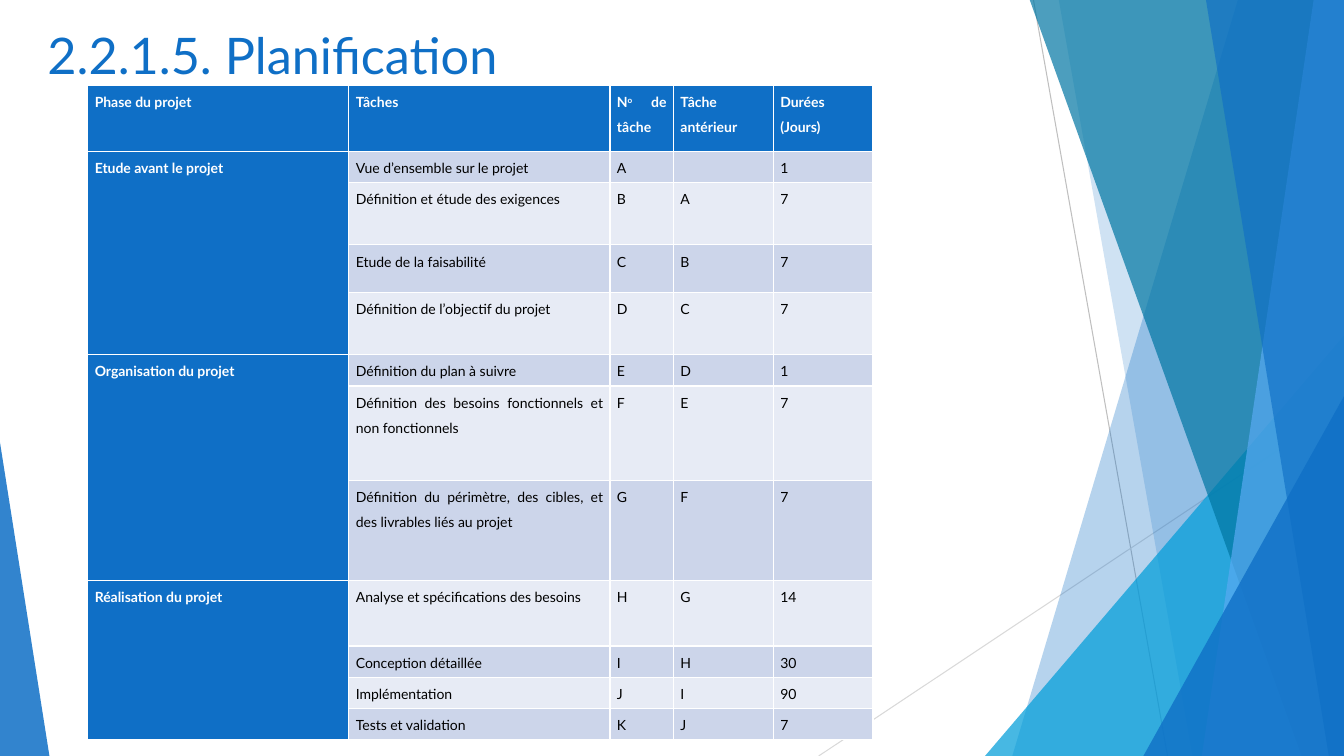
import dataclasses
import typing

import pptx
import pptx.dml.color
import pptx.enum.shapes
import pptx.enum.text
import pptx.oxml.ns
import pptx.oxml.xmlchemy
import pptx.util
from lxml import etree

RGB = pptx.dml.color.RGBColor
ALIGN = pptx.enum.text.PP_ALIGN
qn = pptx.oxml.ns.qn

PX = 9144  # EMU per px, 100 px to the inch
W, H = 1333, 750
FONT = "Lato"

BLUE = RGB(0x0F, 0x6F, 0xC6)
CYAN = RGB(0x00, 0x9D, 0xD9)
TEAL = RGB(0x00, 0x76, 0xA3)
SKY = RGB(0x59, 0xAA, 0xF2)
BAND_DARK = RGB(0xCC, 0xD5, 0xEA)
BAND_LIGHT = RGB(0xE7, 0xEB, 0xF5)
GREY = RGB(0xBF, 0xBF, 0xBF)
LIGHT_GREY = RGB(0xD9, 0xD9, 0xD9)
WHITE = RGB(0xFF, 0xFF, 0xFF)
BLACK = RGB(0x00, 0x00, 0x00)


@dataclasses.dataclass
class Line:
    x1: int
    y1: int
    x2: int
    y2: int
    color: RGB


@dataclasses.dataclass
class Band:
    """Full-height facet from a slanted left edge to the slide's right edge."""
    top_x: int
    bottom_x: int
    color: RGB
    opacity: int


@dataclasses.dataclass
class Triangle:
    """Triangle standing on the bottom edge; apex 0 is left, 1 is right."""
    x: int
    y: int
    w: int
    apex: int
    color: RGB
    opacity: int


class Task(typing.NamedTuple):
    name: str
    code: str
    previous: str
    days: str
    height: int


class Phase(typing.NamedTuple):
    name: str
    tasks: list[Task]


LINES = [Line(1025, 0, 1158, H, GREY), Line(W, 403, 812, H, LIGHT_GREY)]
FACETS = [
    Band(1228, 1004, BLUE, 30),
    Band(1050, 1183, BLUE, 20),
    Triangle(977, 333, 356, 1, CYAN, 72),
    Band(1021, 1291, TEAL, 70),
    Band(1303, 1192, SKY, 70),
    Band(1196, 1318, BLUE, 65),
    Triangle(1134, 393, 199, 1, BLUE, 80),
    Triangle(0, 439, 49, 0, BLUE, 85),
]

COLUMNS = [259, 259, 63, 99, 99]
HEADER_HEIGHT = 65
HEADER = [["Phase du projet"], ["Tâches"], ["N", "o", " de tâche"],
          ["Tâche antérieur"], ["Durées (Jours)"]]
PHASES = [
    Phase("Etude avant le projet", [
        Task("Vue d’ensemble sur le projet", "A", "", "1", 31),
        Task("Définition et étude des exigences", "B", "A", "7", 62),
        Task("Etude de la faisabilité", "C", "B", "7", 47),
        Task("Définition de l’objectif du projet", "D", "C", "7", 62),
    ]),
    Phase("Organisation du projet", [
        Task("Définition du plan à suivre", "E", "D", "1", 31),
        Task("Définition des besoins fonctionnels et non fonctionnels", "F", "E", "7", 94),
        Task("Définition du périmètre, des cibles, et des livrables liés au projet",
             "G", "F", "7", 99),
    ]),
    Phase("Réalisation du projet", [
        Task("Analyse et spécifications des besoins", "H", "G", "14", 65),
        Task("Conception détaillée", "I", "H", "30", 31),
        Task("Implémentation", "J", "I", "90", 31),
        Task("Tests et validation", "K", "J", "7", 31),
    ]),
]


def set_attrs(obj: typing.Any, values: dict[str, typing.Any]) -> None:
    for name, value in values.items():
        setattr(obj, name, value)


def add_run(p: typing.Any, text: str, size: int, color: RGB, bold: bool = False) -> typing.Any:
    r = p.add_run()
    r.text = text
    set_attrs(r.font, {"name": FONT, "size": pptx.util.Pt(size), "bold": bold})
    r.font.color.rgb = color
    return r


def draw_line(s: typing.Any, line: Line) -> None:
    sp = s.shapes.add_connector(pptx.enum.shapes.MSO_CONNECTOR.STRAIGHT,
                                line.x1 * PX, line.y1 * PX, line.x2 * PX, line.y2 * PX)
    sp.line.color.rgb = line.color
    sp.line.width = pptx.util.Pt(0.75)
    etree.SubElement(sp.element.spPr, qn("a:effectLst"))


def draw_facet(s: typing.Any, facet: Band | Triangle) -> None:
    if isinstance(facet, Band):
        builder = s.shapes.build_freeform(facet.top_x, -1, scale=PX)
        builder.add_line_segments([(W, -1), (W, H), (facet.bottom_x, H)], close=True)
        sp = builder.convert_to_shape()
    else:
        sp = s.shapes.add_shape(pptx.enum.shapes.MSO_SHAPE.ISOSCELES_TRIANGLE,
                                facet.x * PX, facet.y * PX,
                                facet.w * PX, (H - facet.y) * PX)
        sp.adjustments[0] = facet.apex
    sp.shadow.inherit = False
    sp.fill.solid()
    sp.fill.fore_color.rgb = facet.color
    color = sp.element.spPr.find(f"{qn('a:solidFill')}/{qn('a:srgbClr')}")
    etree.SubElement(color, qn("a:alpha"), val=str(facet.opacity * 1000))
    sp.line.fill.background()


def fill_cell(cell: typing.Any, texts: list[str], fill: RGB) -> None:
    inset = 7 * PX
    set_attrs(cell, {"margin_left": inset, "margin_right": inset,
                     "margin_top": 0, "margin_bottom": 0})
    cell.fill.solid()
    cell.fill.fore_color.rgb = fill
    if not any(texts):
        return
    p = cell.text_frame.paragraphs[0]
    set_attrs(p, {"alignment": ALIGN.JUSTIFY, "line_spacing": 1.5,
                  "space_after": pptx.util.Pt(8)})
    strong = fill == BLUE
    for i, text in enumerate(texts):
        r = add_run(p, text, 10, WHITE if strong else BLACK, strong)
        if i == 1:  # the raised "o" of the number sign
            r.font._element.set("baseline", "30000")


def draw_table(s: typing.Any) -> None:
    heights = [HEADER_HEIGHT] + [t.height for phase in PHASES for t in phase.tasks]
    frame = s.shapes.add_table(len(heights), len(COLUMNS), 87 * PX, 85 * PX,
                               sum(COLUMNS) * PX, sum(heights) * PX)
    table = frame.table
    table.first_col = True
    for column, width in zip(table.columns, COLUMNS):
        column.width = width * PX
    for row, height in zip(table.rows, heights):
        row.height = height * PX
    for col, texts in enumerate(HEADER):
        fill_cell(table.cell(0, col), texts, BLUE)

    row = 1
    for phase in PHASES:
        first = table.cell(row, 0)
        first.merge(table.cell(row + len(phase.tasks) - 1, 0))
        fill_cell(first, [phase.name], BLUE)
        for task in phase.tasks:
            for col, text in enumerate(task[:4], start=1):
                fill_cell(table.cell(row, col), [text], BAND_DARK if row % 2 else BAND_LIGHT)
            row += 1


def draw_title(s: typing.Any) -> None:
    sp = s.shapes.title
    set_attrs(sp, {"left": 37 * PX, "top": 19 * PX, "width": 940 * PX, "height": 144 * PX})
    tf = sp.text_frame
    set_attrs(tf, {"word_wrap": True, "auto_size": pptx.enum.text.MSO_AUTO_SIZE.NONE,
                   "vertical_anchor": pptx.enum.text.MSO_ANCHOR.TOP})
    p = tf.paragraphs[0]
    p.alignment = ALIGN.LEFT
    add_run(p, "2.2.1.5. Planification", 36, BLUE)
    sp.element.getparent().append(sp.element)  # bring to front


def main() -> None:
    prs = pptx.Presentation()
    set_attrs(prs, {"slide_width": W * PX, "slide_height": H * PX})
    s = prs.slides.add_slide(prs.slide_layouts[5])
    # Faceted backdrop
    for line in LINES:
        draw_line(s, line)
    for facet in FACETS:
        draw_facet(s, facet)
    # Content
    draw_table(s)
    draw_title(s)
    prs.save("out.pptx")


if __name__ == "__main__":
    main()
